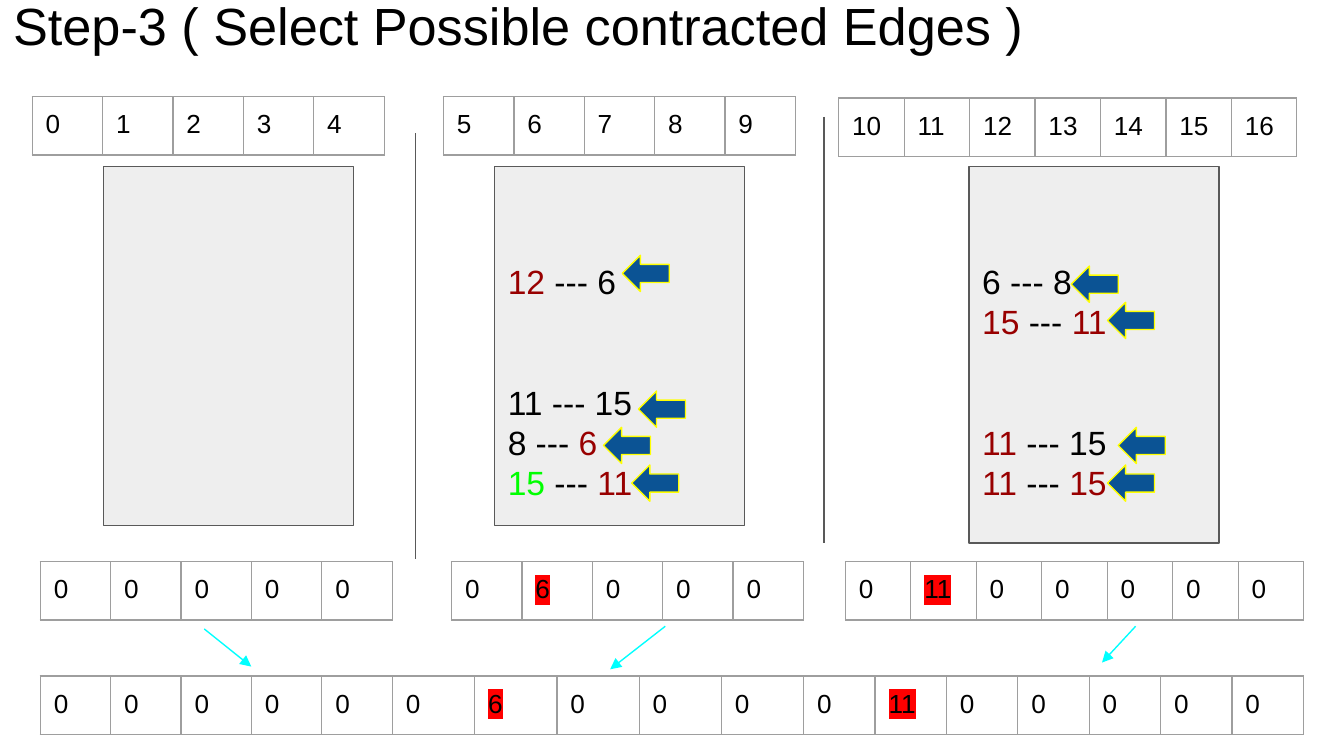
from lxml import etree
from pptx import Presentation
from pptx.dml.color import RGBColor
from pptx.enum.shapes import MSO_CONNECTOR, MSO_SHAPE
from pptx.enum.text import MSO_ANCHOR, PP_ALIGN
from pptx.oxml.ns import qn
from pptx.util import Inches, Pt

STRAIGHT = MSO_CONNECTOR.STRAIGHT
RECT, LEFT_ARROW = MSO_SHAPE.RECTANGLE, MSO_SHAPE.LEFT_ARROW
TOP, LEFT = MSO_ANCHOR.TOP, PP_ALIGN.LEFT

COLORS = {
    "black": "000000",
    "panel": "EEEEEE",
    "outline": "595959",
    "grid": "9E9E9E",
    "maroon": "980000",
    "green": "00FF00",
    "red": "FF0000",
    "cyan": "00FFFF",
    "blue": "0B5394",
    "yellow": "FFFF00",
}


def rgb(name):
    return RGBColor.from_string(COLORS[name])


class EdgeSlide:
    """Draws the elements of the edge selection slide in one style."""

    font = "Arial"
    inset = 0.1
    line_width = 0.75

    def __init__(self, slide):
        self.s = slide

    def run(self, p, text, size, color="black", highlight=None):
        r = p.add_run()
        r.text = text
        r.font.size = Pt(size)
        r.font.name = self.font
        r.font.color.rgb = rgb(color)
        if highlight:
            mark = etree.Element(qn("a:highlight"))
            etree.SubElement(mark, qn("a:srgbClr"), val=COLORS[highlight])
            r.font.fill._xPr.find(qn("a:solidFill")).addnext(mark)

    def margins(self, box, top=inset):
        box.margin_left = box.margin_right = box.margin_bottom = Inches(self.inset)
        box.margin_top = Inches(top)

    def title(self, text, x, y, w, h):
        tf = self.s.shapes.add_textbox(*map(Inches, (x, y, w, h))).text_frame
        tf.word_wrap = True
        tf.vertical_anchor = TOP
        self.margins(tf)
        self.run(tf.paragraphs[0], text, 28)

    def shape(self, kind, x, y, w, h, fill, line):
        sp = self.s.shapes.add_shape(kind, *map(Inches, (x, y, w, h)))
        sp.shadow.inherit = False
        sp.fill.solid()
        sp.fill.fore_color.rgb = rgb(fill)
        sp.line.color.rgb = rgb(line)
        sp.line.width = Pt(self.line_width)
        return sp

    def panel(self, x, h, edges):
        sp = self.shape(RECT, x, 1.24, 1.86, h, "panel", "outline")
        tf = sp.text_frame
        tf.word_wrap = True
        tf.vertical_anchor = TOP
        self.margins(tf, 0.7)
        for i, (gap, runs) in enumerate(edges):
            p = tf.add_paragraph() if i else tf.paragraphs[0]
            p.alignment = LEFT
            p.space_before = Pt(gap)
            for text, color in runs:
                self.run(p, text, 18, color)

    def pointer(self, x, y):
        self.shape(LEFT_ARROW, x, y, 0.35, 0.27, "blue", "yellow")

    def line(self, x1, y1, x2, y2, color, arrow=False):
        c = self.s.shapes.add_connector(STRAIGHT, *map(Inches, (x1, y1, x2, y2)))
        c.line.color.rgb = rgb(color)
        c.line.width = Pt(self.line_width)
        if arrow:
            etree.SubElement(c.line._get_or_add_ln(), qn("a:tailEnd"), type="triangle")
        etree.SubElement(c._element.spPr, qn("a:effectLst"))

    def borders(self, cell):
        tcPr = cell._tc.get_or_add_tcPr()
        for i, side in enumerate("LRTB"):
            ln = etree.Element(qn(f"a:ln{side}"), w=str(Pt(self.line_width)))
            fill = etree.SubElement(ln, qn("a:solidFill"))
            etree.SubElement(fill, qn("a:srgbClr"), val=COLORS["grid"])
            tcPr.insert(i, ln)

    def array(self, x, y, w, h, values, marked=None):
        frame = self.s.shapes.add_table(1, len(values), *map(Inches, (x, y, w, h)))
        table = frame.table
        table.first_row = table.horz_banding = False
        for i, value in enumerate(values):
            table.columns[i].width = Inches(w / len(values))
            cell = table.cell(0, i)
            cell.fill.background()
            self.margins(cell)
            self.borders(cell)
            highlight = "red" if i == marked else None
            self.run(cell.text_frame.paragraphs[0], str(value), 14, highlight=highlight)


def main():
    prs = Presentation()
    prs.slide_width = Inches(10)
    prs.slide_height = prs.slide_width * 9 // 16
    s = EdgeSlide(prs.slides.add_slide(prs.slide_layouts[6]))

    s.title("Step-3 ( Select Possible contracted Edges )", 0, -0.15, 9.64, 0.56)
    for x, y in ((3.09, 0.99), (6.13, 0.87)):
        s.line(x, y, x, y + 3.17, "outline")

    dash = (" --- ", "black")
    gap = 43.2
    middle_edges = [
        (0, [("12", "maroon"), (" --- 6", "black")]),
        (gap, [("11 --- 15", "black")]),
        (0, [("8 --- ", "black"), ("6", "maroon")]),
        (0, [("15", "green"), dash, ("11", "maroon")]),
    ]
    right_edges = [
        (0, [("6 --- 8", "black")]),
        (0, [("15", "maroon"), dash, ("11", "maroon")]),
        (gap, [("11", "maroon"), (" --- 15", "black")]),
        (0, [("11", "maroon"), dash, ("15", "maroon")]),
    ]
    for x, h, edges in ((0.77, 2.67, []), (3.68, 2.67, middle_edges), (7.21, 2.8, right_edges)):
        s.panel(x, h, edges)

    partitions = [
        (range(5), None, 0.43, (0.24, 0.72), (0.3, 2.62), (0.3, 2.62)),
        (range(5, 10), 6, 0.43, (3.3, 0.72), (3.36, 2.62), (2.92, 3.06)),
        (range(10, 17), 11, 0.42, (6.24, 0.73), (6.29, 3.41), (5.98, 3.72)),
    ]
    for vertices, chosen, h, (x, y), local, merged in partitions:
        s.array(x, y, local[1], h, vertices)
        values = [0] * len(vertices)
        marked = None
        if chosen:
            marked = 1
            values[marked] = chosen
        for (left, w), top in ((local, 4.18), (merged, 5.03)):
            s.array(left, top, w, h, values, marked)

    for ends in ((4.95, 4.66, 4.54, 4.98), (8.45, 4.66, 8.2, 4.93), (1.52, 4.68, 1.87, 4.96)):
        s.line(*ends, "cyan", arrow=True)

    pointers = [
        (4.63, 1.9), (4.49, 3.18), (4.75, 2.91), (4.7, 3.46),
        (8.24, 3.46), (8.32, 3.18), (8.24, 2.25), (7.97, 1.98),
    ]
    for x, y in pointers:
        s.pointer(x, y)

    prs.save("out.pptx")


if __name__ == "__main__":
    main()
